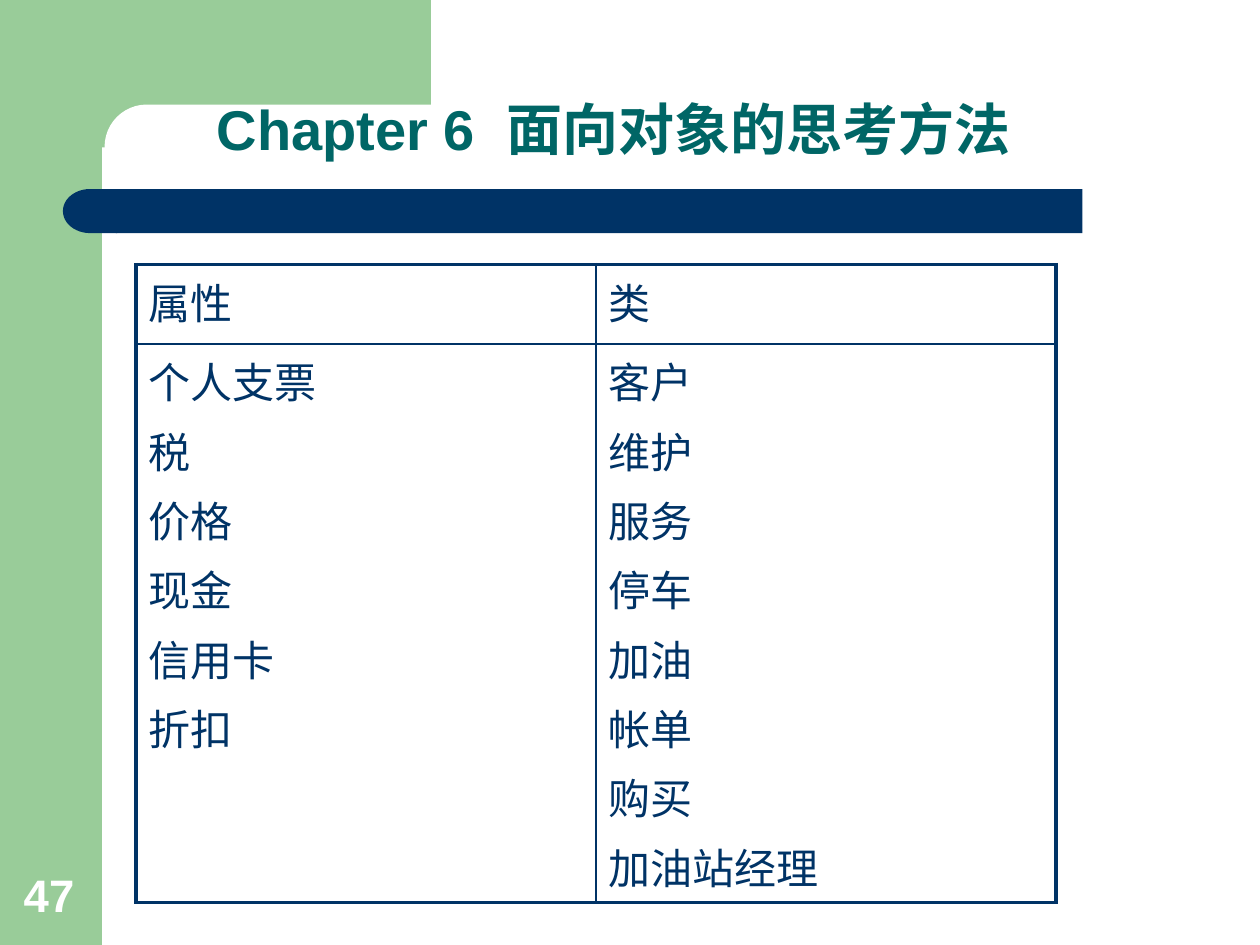
import pptx
import pptx.util
import pptx.dml.color
import pptx.enum.shapes
import pptx.enum.text
import pptx.oxml
import pptx.oxml.ns

Inches = pptx.util.Inches
Pt = pptx.util.Pt
Shape = pptx.enum.shapes.MSO_SHAPE
Anchor = pptx.enum.text.MSO_ANCHOR

GREEN, NAVY, TEAL, WHITE = "99CC99", "003366", "006666", "FFFFFF"
THICK, THIN = 2.25, 1

ATTRIBUTES = ["个人支票", "税", "价格", "现金", "信用卡", "折扣"]
CLASSES = ["客户", "维护", "服务", "停车", "加油", "帐单", "购买", "加油站经理"]
ROWS = [[["属性"], ["类"]], [ATTRIBUTES, CLASSES]]


def color(value):
    return pptx.dml.color.RGBColor.from_string(value)


def set_font(para, size, value, bold=False):
    font = para.font
    font.name, font.size, font.bold = "Arial", Pt(size), bold
    font.color.rgb = color(value)


def add_block(page, kind, box, fill):
    block = page.shapes.add_shape(kind, *map(Inches, box))
    block.shadow.inherit = False
    block.fill.solid()
    block.fill.fore_color.rgb = color(fill)
    block.line.fill.background()
    return block


def add_backdrop(page):
    # Green side band and corner, with a rounded white cut-out
    add_block(page, Shape.RECTANGLE, (0, 0, 0.81, 7.5), GREEN)
    add_block(page, Shape.RECTANGLE, (0.73, 0, 2.69, 1.17), GREEN)
    cutout = add_block(page, Shape.ROUNDED_RECTANGLE, (0.83, 0.83, 5.58, 0.67), WHITE)
    cutout.adjustments[0] = 0.5


def add_bar(page, box):
    # Navy bar with a round left end
    left, top, width, height = box
    cap_width = 0.43
    add_block(page, Shape.RECTANGLE,
              (left + cap_width - 0.01, top, width - cap_width + 0.01, height), NAVY)
    cap = add_block(page, Shape.FLOWCHART_DELAY, (left, top, cap_width, height), NAVY)
    cap.element.spPr.get_or_add_xfrm().set("flipH", "1")


def add_page_number(page, box, number):
    frame = page.shapes.add_textbox(*map(Inches, box)).text_frame
    frame.word_wrap = True
    frame.vertical_anchor = Anchor.BOTTOM
    frame.text = number
    set_font(frame.paragraphs[0], 26, WHITE, bold=True)


def place_title(page, box, text):
    title = page.shapes.title
    title.left, title.top, title.width, title.height = map(Inches, box)
    page.shapes.element.append(title.element)  # in front of the backdrop
    frame = title.text_frame
    frame.text = text
    frame.vertical_anchor = Anchor.BOTTOM
    frame.margin_left = Inches(0.72)
    para = frame.paragraphs[0]
    para.alignment = pptx.enum.text.PP_ALIGN.LEFT
    para.line_spacing = 0.9
    set_font(para, 32, TEAL, bold=True)


def set_borders(cell, widths):
    properties = cell._tc.get_or_add_tcPr()
    for side, width in zip("LRTB", widths):
        properties.append(pptx.oxml.parse_xml(
            f'<a:ln{side} {pptx.oxml.ns.nsdecls("a")} w="{int(Pt(width))}">'
            f'<a:solidFill><a:srgbClr val="{NAVY}"/></a:solidFill></a:ln{side}>'))


def fill_cell(cell, lines):
    cell.fill.background()
    cell.text = "\n".join(lines)
    for para in cell.text_frame.paragraphs:
        para.space_before = Pt(4.8)
        set_font(para, 24, NAVY)


def add_word_table(page, box, rows, heights):
    table = page.shapes.add_table(len(rows), len(rows[0]), *map(Inches, box)).table
    table.first_row = table.horz_banding = False
    last_row, last_column = len(rows) - 1, len(rows[0]) - 1
    for r, row in enumerate(rows):
        table.rows[r].height = Inches(heights[r])
        for c, lines in enumerate(row):
            # Thick outer frame, thin inner rules
            outer = (c == 0, c == last_column, r == 0, r == last_row)
            cell = table.cell(r, c)
            set_borders(cell, [THICK if edge else THIN for edge in outer])
            fill_cell(cell, lines)


def main():
    deck = pptx.Presentation()
    deck.slide_width, deck.slide_height = Inches(10), Inches(7.5)
    page = deck.slides.add_slide(deck.slide_layouts[5])
    add_backdrop(page)
    add_bar(page, (0.5, 1.5, 8.09, 0.35))
    add_page_number(page, (0.09, 6.83, 0.64, 0.53), "47")
    place_title(page, (1, 0.42, 8.75, 0.92), "Chapter 6  面向对象的思考方法")
    add_word_table(page, (1.08, 2.1, 7.3, 4.49), ROWS, (0.63, 3.86))
    deck.save("out.pptx")


if __name__ == "__main__":
    main()
